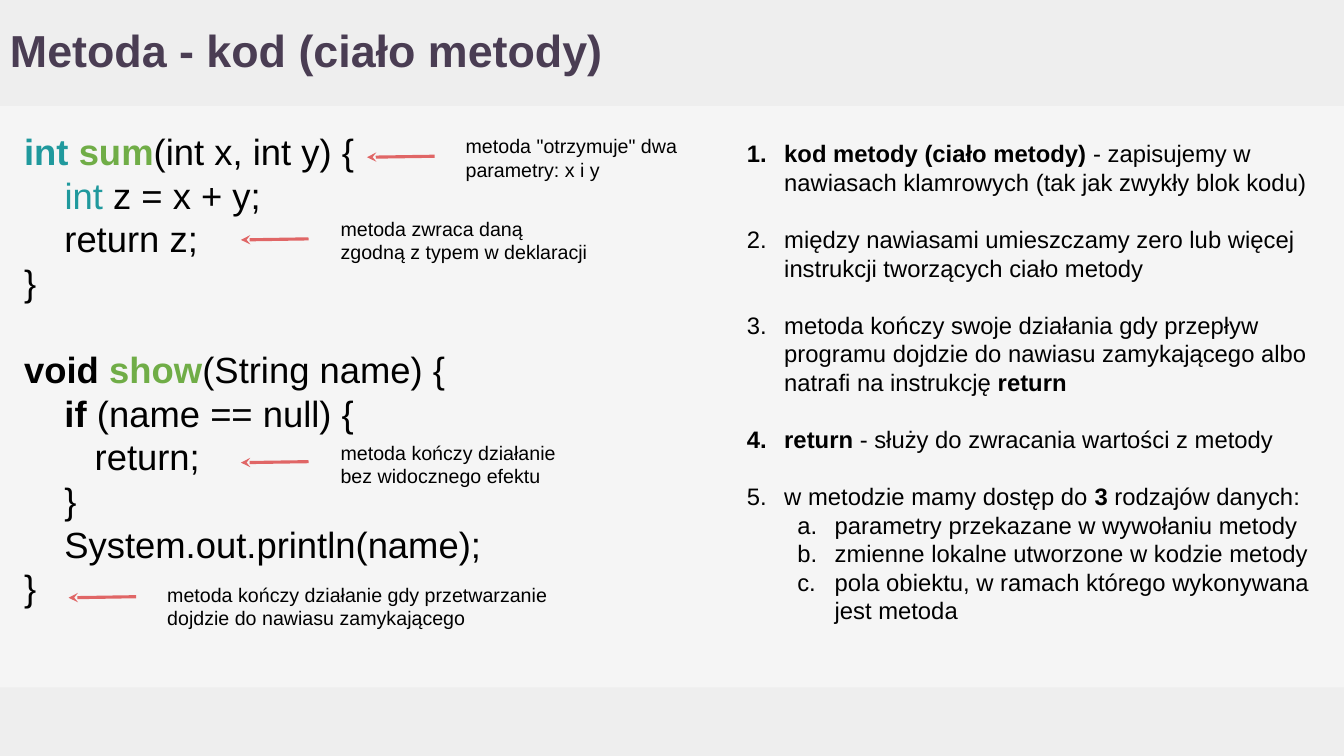
from lxml import etree
from pptx import Presentation
from pptx.dml.color import RGBColor
from pptx.enum.shapes import MSO_CONNECTOR, MSO_SHAPE
from pptx.enum.text import MSO_ANCHOR
from pptx.oxml.ns import qn
from pptx.util import Inches, Pt

RECTANGLE = MSO_SHAPE.RECTANGLE
STRAIGHT = MSO_CONNECTOR.STRAIGHT
TOP, MIDDLE = MSO_ANCHOR.TOP, MSO_ANCHOR.MIDDLE

BACKGROUND = RGBColor(0xF5, 0xF5, 0xF5)
BAND = RGBColor(0xEE, 0xEE, 0xEE)
PURPLE = RGBColor(0x4A, 0x3D, 0x53)
BLACK = RGBColor(0, 0, 0)
TEAL = RGBColor(0x20, 0x99, 0x9D)
GREEN = RGBColor(0x70, 0xAD, 0x47)
RED = RGBColor(0xE0, 0x66, 0x66)


def add_text(slide, box, paragraphs, size, color=BLACK, anchor=TOP, line_spacing=None):
    """Add a text box; each paragraph is a list of (text, bold, optional colour) runs."""
    shape = slide.shapes.add_textbox(*[Inches(length) for length in box])
    frame = shape.text_frame
    frame.word_wrap = True
    frame.vertical_anchor = anchor
    frame.margin_left = frame.margin_right = Inches(0.1)
    frame.margin_top = frame.margin_bottom = Inches(0.1)
    for index, runs in enumerate(paragraphs):
        paragraph = frame.paragraphs[0] if index == 0 else frame.add_paragraph()
        paragraph.line_spacing = line_spacing
        for text, bold, *run_color in runs:
            run = paragraph.add_run()
            run.text = text
            run.font.name = "Arial"
            run.font.size = Pt(size)
            run.font.bold = bold
            run.font.color.rgb = run_color[0] if run_color else color
    return frame


presentation = Presentation()
presentation.slide_width = Inches(13.33)
presentation.slide_height = Inches(7.5)
slide = presentation.slides.add_slide(presentation.slide_layouts[6])
slide.background.fill.solid()
slide.background.fill.fore_color.rgb = BACKGROUND

# Header and footer bands
for top, height in [(6.82, 0.68), (0, 1.05)]:
    band = slide.shapes.add_shape(
        RECTANGLE, Inches(0), Inches(top), Inches(13.33), Inches(height))
    band.shadow.inherit = False
    band.fill.solid()
    band.fill.fore_color.rgb = BAND
    band.line.fill.background()

add_text(slide, (0, 0, 11.92, 1.05), [[("Metoda - kod (ciało metody)", True)]],
         size=32, color=PURPLE, anchor=MIDDLE, line_spacing=0.9)

# Code of the two methods
code_lines = [
    [("int ", True, TEAL), ("sum", True, GREEN), ("(int x, int y) {", False)],
    [("    ", True), ("int", False, TEAL), (" z = x + y;", False)],
    [("    return z;", False)],
    [("}", False)],
    [("void ", True), ("show", True, GREEN), ("(String name) {", False)],
    [("    if ", True), ("(name == null) {", False)],
    [("       return;", False)],
    [("    }", False)],
    [("    System.out.println(name);", False)],
    [("}", False)],
]
code = add_text(slide, (0.14, 1.18, 4.81, 5.47), code_lines, size=26)
code.paragraphs[4].space_before = Pt(31)

# Numbered rules, the last one with lettered sub-items
rules = [
    [("kod metody (ciało metody)", True),
     (" - zapisujemy w nawiasach klamrowych (tak jak zwykły blok kodu)", False)],
    [("między nawiasami umieszczamy zero lub więcej instrukcji tworzących ciało metody",
      False)],
    [("metoda kończy swoje działania gdy przepływ programu dojdzie do nawiasu "
      "zamykającego albo natrafi na instrukcję ", False), ("return", True)],
    [("return ", True), ("- służy do zwracania wartości z metody", False)],
    [("w metodzie mamy dostęp do ", False), ("3", True), (" rodzajów danych:", False)],
]
data_kinds = [
    [("parametry przekazane w wywołaniu metody", False)],
    [("zmienne lokalne utworzone w kodzie metody", False)],
    [("pola obiektu, w ramach którego wykonywana jest metoda", False)],
]
rule_frame = add_text(slide, (7.18, 1.28, 6.14, 5.53), rules + data_kinds, size=17)
for index, paragraph in enumerate(rule_frame.paragraphs):
    level = 0 if index < len(rules) else 1
    properties = paragraph._p.get_or_add_pPr()
    properties.set("marL", str(Inches(0.5 * (level + 1))))
    properties.set("indent", str(Inches(-0.37)))
    numbering = etree.SubElement(properties, qn("a:buAutoNum"))
    numbering.set("type", ["arabicPeriod", "alphaLcPeriod"][level])
    paragraph.level = level
    if index > 0 and level == 0:
        paragraph.space_before = Pt(20.4)

# Notes beside the code: arrow tip, note position and width, text
notes = [
    (2.39, 2.38, 3.28, 2.05, 2.66, "metoda zwraca daną zgodną z typem w deklaracji"),
    (3.64, 1.56, 4.52, 1.23, 2.66, 'metoda "otrzymuje" dwa parametry: x i y'),
    (2.39, 4.59, 3.28, 4.27, 2.43, "metoda kończy działanie bez widocznego efektu"),
    (0.68, 5.93, 1.56, 5.68, 4.02,
     "metoda kończy działanie gdy przetwarzanie dojdzie do nawiasu zamykającego"),
]
for tip_x, tip_y, left, top, width, text in notes:
    arrow = slide.shapes.add_connector(
        STRAIGHT, Inches(tip_x), Inches(tip_y), Inches(tip_x + 0.67), Inches(tip_y - 0.01))
    arrow.line.color.rgb = RED
    arrow.line.width = Pt(2.25)
    etree.SubElement(arrow.line._get_or_add_ln(), qn("a:headEnd")).set("type", "stealth")
    etree.SubElement(arrow._element.spPr, qn("a:effectLst"))
    add_text(slide, (left, top, width, 0.65), [[(text, False)]], size=14)

presentation.save("out.pptx")
